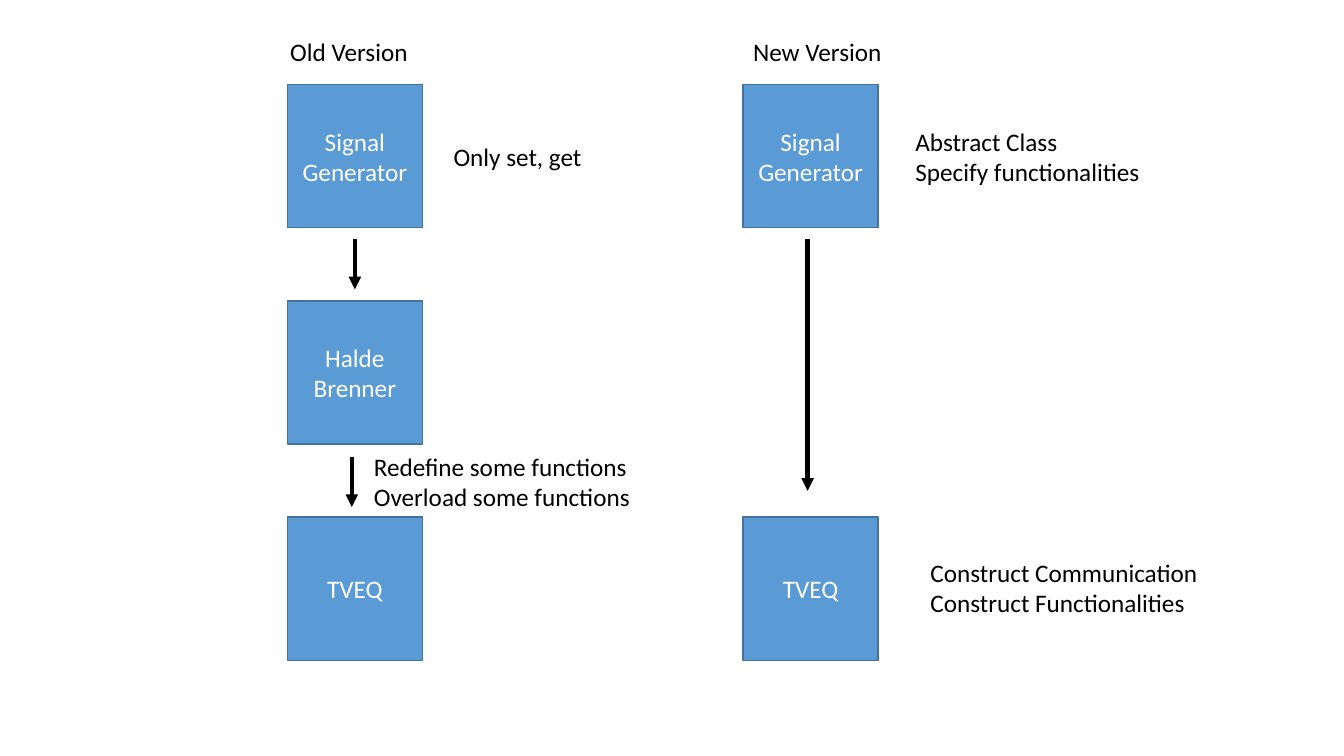
"""Build a slide comparing the old and new signal generator class hierarchies."""
import pptx
import pptx.util
import pptx.dml.color
import pptx.enum.shapes
import pptx.enum.text
import pptx.oxml
import pptx.oxml.ns

Inches = pptx.util.Inches
Pt = pptx.util.Pt


def color(hex_string):
    return pptx.dml.color.RGBColor.from_string(hex_string)


def write_lines(text_frame, lines, font_color, alignment):
    text_frame.text = "\n".join(lines)
    for paragraph in text_frame.paragraphs:
        paragraph.alignment = alignment
        paragraph.font.name = "Calibri"
        paragraph.font.size = Pt(18)
        paragraph.font.color.rgb = color(font_color)


presentation = pptx.Presentation()
presentation.slide_width = Inches(13.33)
presentation.slide_height = Inches(7.5)
slide = presentation.slides.add_slide(presentation.slide_layouts[6])

OLD_LEFT, NEW_LEFT = 2.85, 7.37
FIRST_TOP, ROW_STEP = 0.84, 2.145
BOX_WIDTH, BOX_HEIGHT = 1.34, 1.42

class_boxes = [
    (OLD_LEFT, 0, ["Signal", "Generator"]),
    (OLD_LEFT, 1, ["Halde", "Brenner"]),
    (OLD_LEFT, 2, ["TVEQ"]),
    (NEW_LEFT, 0, ["Signal", "Generator"]),
    (NEW_LEFT, 2, ["TVEQ"]),
]
for left, row, lines in class_boxes:
    box = slide.shapes.add_shape(
        pptx.enum.shapes.MSO_SHAPE.RECTANGLE,
        Inches(left), Inches(FIRST_TOP + row * ROW_STEP),
        Inches(BOX_WIDTH), Inches(BOX_HEIGHT))
    box.shadow.inherit = False
    box.fill.solid()
    box.fill.fore_color.rgb = color("5B9BD5")
    box.line.color.rgb = color("43739E")
    box.line.width = Pt(1)
    box.text_frame.word_wrap = True
    box.text_frame.vertical_anchor = pptx.enum.text.MSO_ANCHOR.MIDDLE
    write_lines(box.text_frame, lines, "FFFFFF", pptx.enum.text.PP_ALIGN.CENTER)

inheritance_arrows = [(3.52, 2.37, 2.87), (3.49, 4.53, 5.03), (8.01, 2.37, 4.87)]
for center, top, bottom in inheritance_arrows:
    arrow = slide.shapes.add_connector(
        pptx.enum.shapes.MSO_CONNECTOR.STRAIGHT,
        Inches(center), Inches(top), Inches(center), Inches(bottom))
    arrow.line.color.rgb = color("000000")
    arrow.line.width = Pt(3)
    arrowhead = pptx.oxml.parse_xml(
        f'<a:tailEnd {pptx.oxml.ns.nsdecls("a")} type="triangle"/>')
    arrow.line._get_or_add_ln().append(arrowhead)
    arrow._element.spPr.append(
        pptx.oxml.parse_xml(f'<a:effectLst {pptx.oxml.ns.nsdecls("a")}/>'))

labels = [
    (2.78, 0.31, 1.38, 0.4, ["Old Version"]),
    (7.37, 0.31, 1.49, 0.4, ["New Version"]),
    (4.4, 1.35, 1.49, 0.4, ["Only set, get"]),
    (3.61, 4.43, 2.77, 0.71, ["Redefine some functions", "Overload some functions"]),
    (8.98, 1.2, 2.45, 0.71, ["Abstract Class", "Specify functionalities"]),
    (9.13, 5.48, 2.88, 0.71, ["Construct Communication", "Construct Functionalities"]),
]
for left, top, width, height, lines in labels:
    label = slide.shapes.add_textbox(
        Inches(left), Inches(top), Inches(width), Inches(height))
    label.text_frame.word_wrap = False
    label.text_frame.auto_size = pptx.enum.text.MSO_AUTO_SIZE.SHAPE_TO_FIT_TEXT
    write_lines(label.text_frame, lines, "000000", pptx.enum.text.PP_ALIGN.LEFT)

presentation.save("out.pptx")
